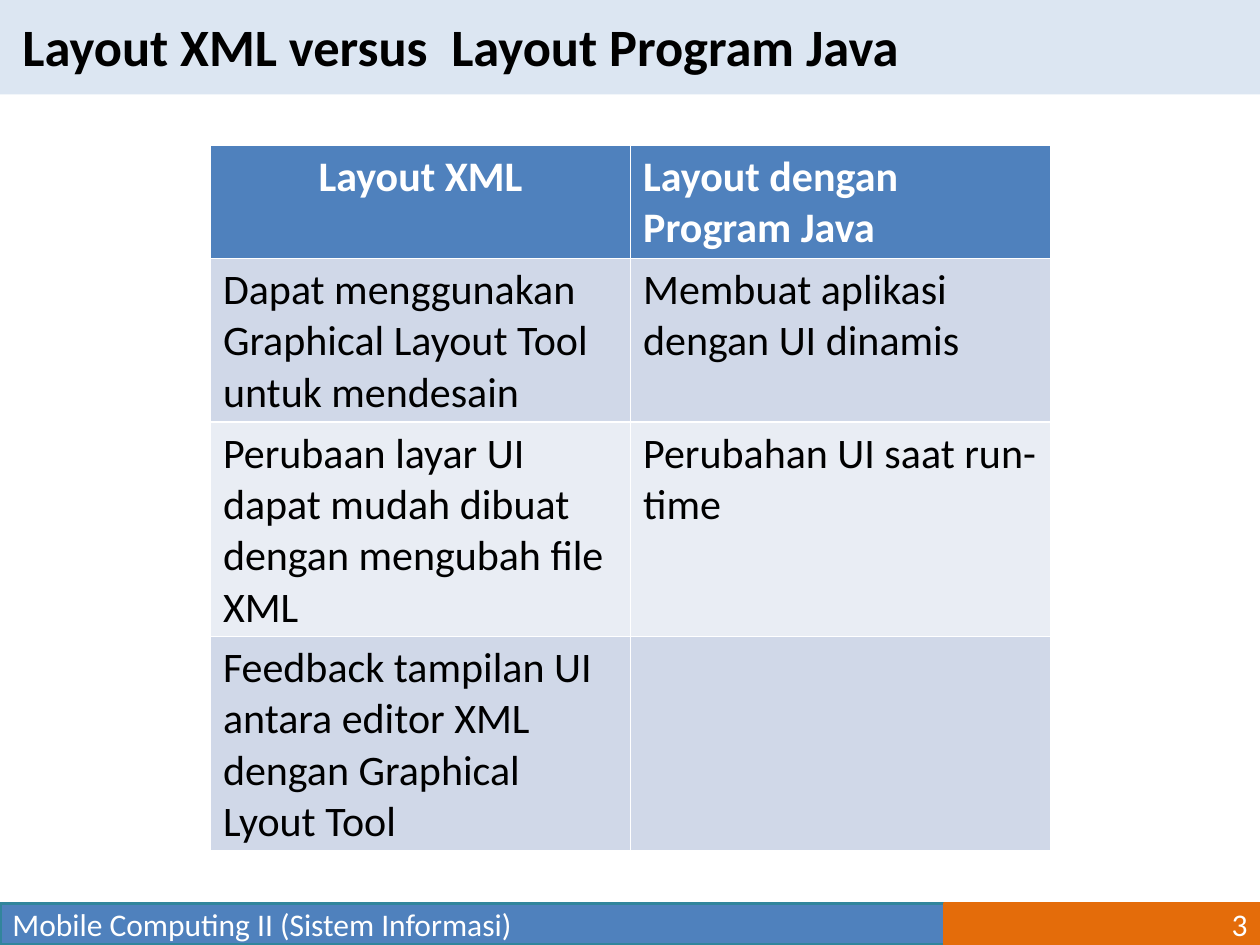
import pptx
import pptx.util
import pptx.dml.color
import pptx.enum.shapes
import pptx.enum.text

Inches = pptx.util.Inches
Align = pptx.enum.text.PP_ALIGN

FONT = "Calibri"
COLORS = {
    "title_band": "DCE6F2",
    "blue": "4F81BD",
    "teal": "31859C",
    "orange": "E46C0A",
    "row_dark": "D0D8E8",
    "row_light": "E9EDF4",
    "white": "FFFFFF",
    "black": "000000",
}

COMPARISON = [
    ("Layout XML", "Layout dengan Program Java"),
    ("Dapat menggunakan Graphical Layout Tool untuk mendesain",
     "Membuat aplikasi dengan UI dinamis"),
    ("Perubaan layar UI dapat mudah dibuat dengan mengubah file XML",
     "Perubahan UI saat run-time"),
    ("Feedback tampilan UI antara editor XML dengan Graphical Lyout Tool", ""),
]
ROW_HEIGHTS = [0.88, 1.3, 1.7, 1.7]


def color(name):
    return pptx.dml.color.RGBColor.from_string(COLORS[name])


def write(text_frame, text, size, color_name, bold=False, align=Align.LEFT):
    text_frame.text = text
    paragraph = text_frame.paragraphs[0]
    paragraph.alignment = align
    for run in paragraph.runs:
        run.font.name = FONT
        run.font.size = pptx.util.Pt(size)
        run.font.bold = bold
        run.font.color.rgb = color(color_name)


def add_band(slide, left, top, width, height, fill, line=None):
    band = slide.shapes.add_shape(
        pptx.enum.shapes.MSO_SHAPE.RECTANGLE,
        Inches(left), Inches(top), Inches(width), Inches(height))
    band.shadow.inherit = False
    band.fill.solid()
    band.fill.fore_color.rgb = color(fill)
    if line:
        band.line.color.rgb = color(line)
        band.line.width = pptx.util.Pt(2)
    else:
        band.line.fill.background()
    return band


def add_title(slide, left, top, width, height):
    add_band(slide, left, top, width, height, "title_band")
    title = slide.shapes.add_textbox(
        Inches(left + 0.08), Inches(top + 0.06), Inches(7.32), Inches(0.61))
    title.text_frame.word_wrap = True
    write(title.text_frame, "Layout XML versus  Layout Program Java", 30, "black", bold=True)


def add_footer(slide, left, top, width, height):
    course_width = width * 0.75
    parts = [
        (left, course_width, "blue", "teal",
         "Mobile Computing II (Sistem Informasi)", Align.LEFT),
        (left + course_width, width - course_width, "orange", "orange",
         "3", Align.RIGHT),
    ]
    for part_left, part_width, fill, line, text, align in parts:
        band = add_band(slide, part_left, top, part_width, height, fill, line)
        band.text_frame.vertical_anchor = pptx.enum.text.MSO_ANCHOR.MIDDLE
        write(band.text_frame, text, 18, "white", align=align)


def add_comparison(slide, left, top, width):
    table = slide.shapes.add_table(
        len(COMPARISON), 2, Inches(left), Inches(top),
        Inches(width), Inches(sum(ROW_HEIGHTS))).table
    for row_index, texts in enumerate(COMPARISON):
        table.rows[row_index].height = Inches(ROW_HEIGHTS[row_index])
        header = row_index == 0
        fill = "blue" if header else ("row_dark" if row_index % 2 else "row_light")
        for column_index, text in enumerate(texts):
            cell = table.cell(row_index, column_index)
            cell.fill.solid()
            cell.fill.fore_color.rgb = color(fill)
            centered = header and column_index == 0
            write(cell.text_frame, text, 24, "white" if header else "black",
                  bold=header, align=Align.CENTER if centered else Align.LEFT)


presentation = pptx.Presentation()
presentation.slide_width = Inches(10)
presentation.slide_height = Inches(7.5)
slide = presentation.slides.add_slide(presentation.slide_layouts[6])

# Title band
add_title(slide, 0, 0, 10, 0.75)
# Footer with course name and page number
add_footer(slide, 0, 7.17, 10, 0.33)
# Comparison table
add_comparison(slide, 1.67, 1.15, 6.67)

presentation.save("out.pptx")
